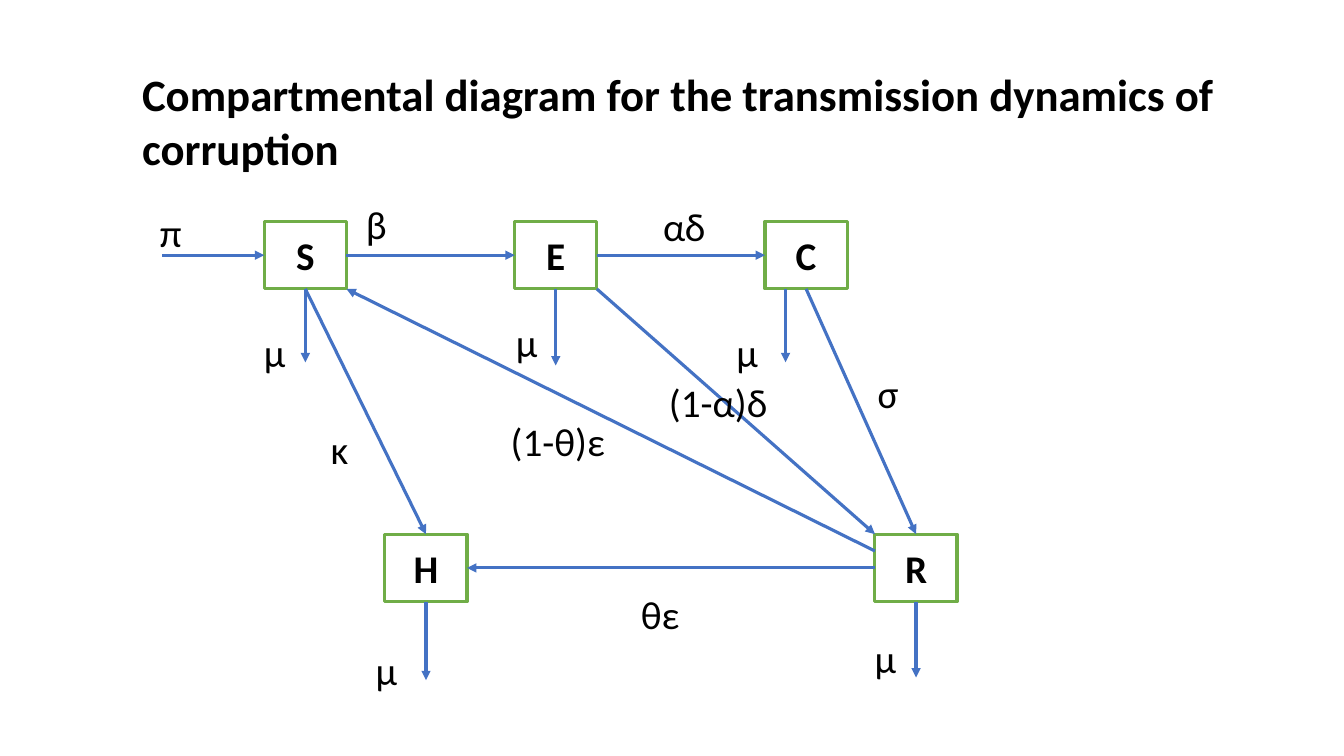
"""Build a slide with the compartmental diagram of corruption dynamics."""
from dataclasses import dataclass

from lxml import etree
from pptx import Presentation
from pptx import util as u
from pptx.dml.color import RGBColor
from pptx.enum import shapes, text
from pptx.oxml import ns

FONT = "Calibri"
BLACK, WHITE, GREEN, BLUE = "000000", "FFFFFF", "70AD47", "4472C4"
LINE_WIDTH = u.Pt(2.25)
BOX_WIDTH, BOX_HEIGHT = 2.07, 1.7
LABEL_HEIGHT = 1.45
TOP_ROW, BOTTOM_ROW = 5.58, 13.46
TOP_LEFT, TOP_STEP = 6.66, 6.31


@dataclass(frozen=True)
class Point:
    x: float
    y: float

    def shifted(self, x: float = 0, y: float = 0) -> "Point":
        return Point(self.x + x, self.y + y)


@dataclass(frozen=True)
class Compartment:
    name: str
    left: float
    top: float

    def at(self, across: float, down: float) -> Point:
        return Point(self.left + across * BOX_WIDTH, self.top + down * BOX_HEIGHT)


@dataclass(frozen=True)
class Arrow:
    start: Point
    end: Point


@dataclass(frozen=True)
class Label:
    wording: str
    left: float
    top: float
    width: float


S, E, C = (Compartment(name, TOP_LEFT + i * TOP_STEP, TOP_ROW) for i, name in enumerate("SEC"))
H = Compartment("H", 9.7, BOTTOM_ROW)
R = Compartment("R", 22.05, BOTTOM_ROW)

FLOWS = [
    Arrow(S.at(0, 0.5).shifted(x=-2.57), S.at(0, 0.5)),
    Arrow(S.at(1, 0.5), E.at(0, 0.5)),
    Arrow(E.at(1, 0.5), C.at(0, 0.5)),
    Arrow(C.at(0.5, 1), R.at(0.5, 0)),
    Arrow(R.at(0, 0.5), H.at(1, 0.5)),
    Arrow(S.at(0.5, 1), H.at(0.5, 0)),
    Arrow(E.at(1, 1), R.at(0, 0)),
    Arrow(R.at(0, 0.25), S.at(1, 1)),
]

EXITS = [
    Arrow(foot, foot.shifted(y=length))
    for foot, length in [
        (S.at(0.5, 1), 1.85),
        (E.at(0.5, 1), 1.93),
        (C.at(0.25, 1), 1.85),
        (H.at(0.5, 1), 1.98),
        (R.at(0.5, 1), 1.91),
    ]
]

LABELS = [
    Label("π", 3.78, 5.13, 28.78),
    Label("β", 8.97, 4.93, 1.52),
    Label("αδ", 16.46, 4.98, 2.46),
    Label("μ", 6.4, 8.15, 1.04),
    Label("μ", 12.75, 7.9, 1.02),
    Label("μ", 18.31, 8.15, 1.24),
    Label("μ", 21.79, 15.85, 1.3),
    Label("μ", 9.22, 16.15, 1.27),
    Label("σ", 21.87, 9.19, 1.75),
    Label("κ", 8.08, 10.59, 1.5),
    Label("θε", 15.9, 14.76, 2.26),
    Label("(1-θ)ε", 12.62, 10.39, 3.56),
    Label("(1-α)δ", 16.61, 9.42, 3.15),
]


def color(value: str) -> RGBColor:
    return RGBColor.from_string(value)


def write(shape, wording: str, *, size: float = 28, bold: bool = False,
          align=text.PP_ALIGN.LEFT, anchor=text.MSO_ANCHOR.TOP) -> None:
    frame = shape.text_frame
    frame.word_wrap = True
    frame.vertical_anchor = anchor
    paragraph = frame.paragraphs[0]
    paragraph.alignment = align
    run = paragraph.add_run()
    run.text = wording
    run.font.name = FONT
    run.font.size = u.Pt(size)
    run.font.bold = bold
    run.font.color.rgb = color(BLACK)


def draw_compartment(slide, box: Compartment) -> None:
    shape = slide.shapes.add_shape(
        shapes.MSO_SHAPE.RECTANGLE,
        u.Cm(box.left), u.Cm(box.top), u.Cm(BOX_WIDTH), u.Cm(BOX_HEIGHT))
    shape.shadow.inherit = False
    shape.fill.solid()
    shape.fill.fore_color.rgb = color(WHITE)
    shape.line.color.rgb = color(GREEN)
    shape.line.width = LINE_WIDTH
    write(shape, box.name, bold=True, align=text.PP_ALIGN.CENTER,
          anchor=text.MSO_ANCHOR.MIDDLE)


def draw_arrow(slide, arrow: Arrow) -> None:
    connector = slide.shapes.add_connector(
        shapes.MSO_CONNECTOR.STRAIGHT,
        u.Cm(arrow.start.x), u.Cm(arrow.start.y), u.Cm(arrow.end.x), u.Cm(arrow.end.y))
    connector.line.color.rgb = color(BLUE)
    connector.line.width = LINE_WIDTH
    outline = connector.line._get_or_add_ln()
    etree.SubElement(outline, ns.qn("a:tailEnd"), type="triangle")
    etree.SubElement(connector._element.spPr, ns.qn("a:effectLst"))


def draw_label(slide, label: Label, height: float = LABEL_HEIGHT, **style) -> None:
    shape = slide.shapes.add_textbox(
        u.Cm(label.left), u.Cm(label.top), u.Cm(label.width), u.Cm(height))
    write(shape, label.wording, **style)


def main() -> None:
    presentation = Presentation()
    presentation.slide_width, presentation.slide_height = u.Cm(33.87), u.Cm(19.05)
    slide = presentation.slides.add_slide(presentation.slide_layouts[6])
    for box in (S, E, C, R, H):
        draw_compartment(slide, box)
    for arrow in FLOWS + EXITS:
        draw_arrow(slide, arrow)
    for label in LABELS:
        draw_label(slide, label)
    title = Label("Compartmental diagram for the transmission dynamics of corruption",
                  3.33, 1.55, 29.74)
    draw_label(slide, title, height=3, size=32, bold=True)
    presentation.save("out.pptx")


if __name__ == "__main__":
    main()
